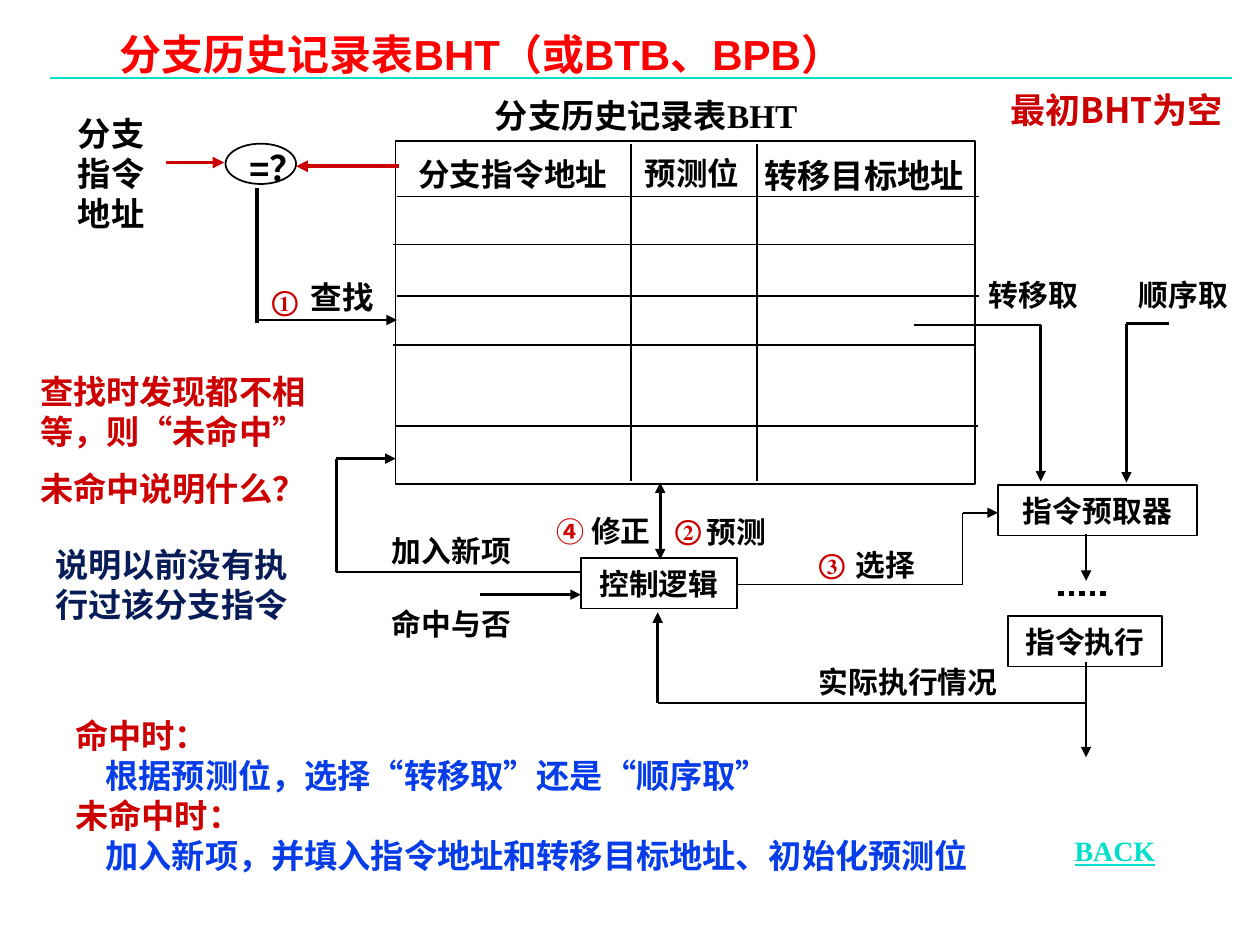
from itertools import pairwise

from lxml.etree import SubElement
from pptx import Presentation
from pptx.dml.color import RGBColor as RGB
from pptx.enum.dml import MSO_LINE as DASH
from pptx.enum.shapes import MSO_CONNECTOR as CONN, MSO_SHAPE as SHAPE
from pptx.enum.text import MSO_ANCHOR as ANCHOR, MSO_AUTO_SIZE as FIT, PP_ALIGN as ALIGN
from pptx.oxml.ns import qn
from pptx.util import Inches, Pt

THEME = {
    "color": {"black": "000000", "red": "CC0000", "title": "FF0000", "blue": "063DE8",
              "navy": "081D58", "teal": "00DFCA"},
    "size": {"title": 24, "big": 20, "body": 19, "head": 18, "label": 17, "mark": 16},
    "font": {"serif": "Times New Roman", "sans": "Arial", "cjk": "Noto Sans CJK SC"},
    "line": {"thin": 1, "flow": 1.5, "bold": 2.25, "dots": 3},
}

TITLE = ("分支历史记录表BHT（或BTB、BPB）", 0.88, 0.25, 7.51, 0.41)

LABELS = [
    ("分支指令地址", 3.22, 1.18, 1.82, 0.4, "head", "serif", "black"),
    ("转移目标地址", 5.97, 1.18, 1.86, 0.42, "body", "serif", "black"),
    ("预测位", 5.02, 1.17, 0.99, 0.4, "head", "sans", "black"),
    ("分支指令地址", 0.52, 0.85, 0.87, 1.05, "body", "serif", "black"),
    ("分支历史记录表BHT", 3.83, 0.71, 3.05, 0.42, "body", "serif", "black"),
    ("=？", 1.88, 1.11, 0.67, 0.43, "big", "sans", "black"),
    ("查找", 2.37, 2.16, 0.7, 0.4, "head", "serif", "black"),
    ("最初BHT为空", 7.92, 0.65, 2.02, 0.43, "big", "cjk", "red"),
    ("说明以前没有执行过该分支指令", 0.34, 4.27, 2.13, 0.74, "body", "cjk", "navy"),
]
FLOW_LABELS = [
    ("实际执行情况", 6.4, 5.22, 1.88),
    ("命中与否", 3.01, 4.76, 1.32),
    ("加入新项", 3.01, 4.18, 1.42),
    ("顺序取", 8.94, 2.15, 0.94),
    ("转移取", 7.75, 2.15, 0.94),
    ("选择", 6.69, 4.29, 1.12),
    ("预测", 5.51, 4.03, 1.12),
]
MARKS = [("①", 2.06, 2.2), ("②", 5.26, 4.02), ("③", 6.4, 4.29)]
BOXES = [
    ("指令预取器", 7.92, 3.85, 1.58),
    ("控制逻辑", 4.61, 4.43, 1.24),
    ("指令执行", 8, 4.89, 1.22),
]
MISS_NOTES = ["查找时发现都不相等，则“未命中”", "未命中说明什么？"]
CASES = [
    ("命中时：", "根据预测位，选择“转移取”还是“顺序取”"),
    ("未命中时：", "加入新项，并填入指令地址和转移目标地址、初始化预测位"),
]

BHT = (3.14, 1.12, 4.6, 2.72)
BHT_COLS = [5.01, 6.01]
BHT_ROWS = [(3.15, 1.56), (3.12, 1.94), (3.15, 2.35), (3.12, 2.74), (3.14, 3.38)]
ROW_WIDTH = 4.62
COMPARE = (1.79, 1.14, 0.56, 0.32)

ROUTES = [
    ([(2.04, 2.54), (3.15, 2.54)], "flow", "black", "end"),
    ([(7.25, 2.58), (8.26, 2.58), (8.26, 3.82)], "flow", "black", "end"),
    ([(9.28, 2.57), (8.94, 2.57), (8.94, 3.83)], "flow", "black", "end"),
    ([(5.24, 3.83), (5.24, 4.44)], "flow", "black", "both"),
    ([(8.62, 4.24), (8.62, 4.61)], "flow", "black", "end"),
    ([(8.62, 5.25), (8.62, 6.01)], "flow", "black", "end"),
    ([(8.61, 5.58), (5.22, 5.58), (5.22, 4.86)], "flow", "black", "end"),
    ([(3.81, 4.72), (4.61, 4.72)], "flow", "black", "end"),
    ([(4.61, 4.54), (2.67, 4.54), (2.67, 3.64), (3.14, 3.64)], "flow", "black", "end"),
    ([(5.86, 4.64), (7.64, 4.64), (7.64, 4.07), (7.92, 4.07)], "thin", "black", "end"),
    ([(3.17, 1.32), (2.35, 1.32)], "bold", "red", "end"),
    ([(1.32, 1.29), (1.78, 1.29)], "bold", "red", "end"),
    ([(2.04, 1.49), (2.04, 2.56)], "bold", "black", None),
]


def color(name):
    return RGB.from_string(THEME["color"][name])


def add_run(p, text, size, font, tint, **extra):
    r = p.add_run()
    r.text = text
    fmt = {"size": Pt(THEME["size"][size]), "name": THEME["font"][font], "bold": True, **extra}
    for key, value in fmt.items():
        setattr(r.font, key, value)
    r.font.color.rgb = color(tint)


def add_box(x, y, w, h, wrap=True):
    tf = shapes.add_textbox(*map(Inches, (x, y, w, h))).text_frame
    tf.word_wrap = wrap
    tf.auto_size = FIT.SHAPE_TO_FIT_TEXT
    return tf


def add_label(text, x, y, w, h, size, font, tint, wrap=True, **extra):
    add_run(add_box(x, y, w, h, wrap).paragraphs[0], text, size, font, tint, **extra)


def add_outline(kind, *place):
    s = shapes.add_shape(kind, *map(Inches, place))
    s.shadow.inherit = False
    s.fill.background()
    s.line.color.rgb = color("black")
    s.line.width = Pt(THEME["line"]["thin"])
    return s


def add_line(start, end, weight="thin", tint="black", arrows=(), dash=None):
    s = shapes.add_connector(CONN.STRAIGHT, *map(Inches, (*start, *end)))
    s.line.color.rgb = color(tint)
    s.line.width = Pt(THEME["line"][weight])
    if dash:
        s.line.dash_style = dash
    for tag in arrows:
        SubElement(s.line._get_or_add_ln(), qn(tag), type="triangle")
    SubElement(s._element.spPr, qn("a:effectLst"))


def add_route(points, weight, tint, arrow):
    legs = list(pairwise(points))
    ends = {"end": ["a:tailEnd"], "both": ["a:headEnd", "a:tailEnd"], None: []}[arrow]
    for i, (start, end) in enumerate(legs):
        add_line(start, end, weight, tint, ends if i == len(legs) - 1 else [])


prs = Presentation()
prs.slide_width, prs.slide_height = Inches(10), Inches(7.5)
shapes = prs.slides.add_slide(prs.slide_layouts[6]).shapes

add_line((0.4, 0.62), (9.78, 0.62), tint="teal")
text, *place = TITLE
tf = add_box(*place)
frame = {"margin_left": 0.07, "margin_right": 0.07, "margin_top": 0.03, "margin_bottom": 0.03}
for key, value in frame.items():
    setattr(tf, key, Inches(value))
tf.vertical_anchor = ANCHOR.MIDDLE
tf.paragraphs[0].line_spacing = 0.87
add_run(tf.paragraphs[0], text, "title", "sans", "title")

add_outline(SHAPE.RECTANGLE, *BHT)
for x in BHT_COLS:
    add_line((x, 1.14), (x, 3.82))
for x, y in BHT_ROWS:
    add_line((x, y), (x + ROW_WIDTH, y))

for text, x, y, w in BOXES:
    tf = add_outline(SHAPE.RECTANGLE, x, y, w, 0.4).text_frame
    tf.word_wrap = True
    tf.paragraphs[0].alignment = ALIGN.CENTER
    add_run(tf.paragraphs[0], text, "label", "serif", "black")

for label in LABELS:
    add_label(*label)
for text, x, y, w in FLOW_LABELS:
    add_label(text, x, y, w, 0.38, "label", "serif", "black")
for text, x, y in MARKS:
    add_label(text, x, y, 0.42, 0.37, "mark", "serif", "red", wrap=False)

add_outline(SHAPE.OVAL, *COMPARE)
for route in ROUTES:
    add_route(*route)
add_line((8.4, 4.71), (8.81, 4.71), "dots", dash=DASH.ROUND_DOT)

p = add_box(4.32, 4.02, 1.08, 0.38).paragraphs[0]
add_run(p, "④ ", "mark", "serif", "red")
add_run(p, "修正", "label", "serif", "black")

tf = add_box(0.22, 2.9, 2.4, 1.22)
for i, text in enumerate(MISS_NOTES):
    p = tf.add_paragraph() if i else tf.paragraphs[0]
    p.space_before = Pt(9.5 if i else 0)
    add_run(p, text, "body", "cjk", "red")

tf = add_box(0, 5.63, 8.15, 1.38)
lines = [line for case in CASES for line in zip(case, ("red", "blue"), (0.5, 0.74))]
for i, (text, tint, indent) in enumerate(lines):
    p = tf.add_paragraph() if i else tf.paragraphs[0]
    p._p.get_or_add_pPr().set("marL", str(Inches(indent)))
    add_run(p, text, "body", "cjk", tint)

add_label("BACK", 8.43, 6.57, 1.17, 0.37, "mark", "serif", "teal", underline=True)

prs.save("out.pptx")
